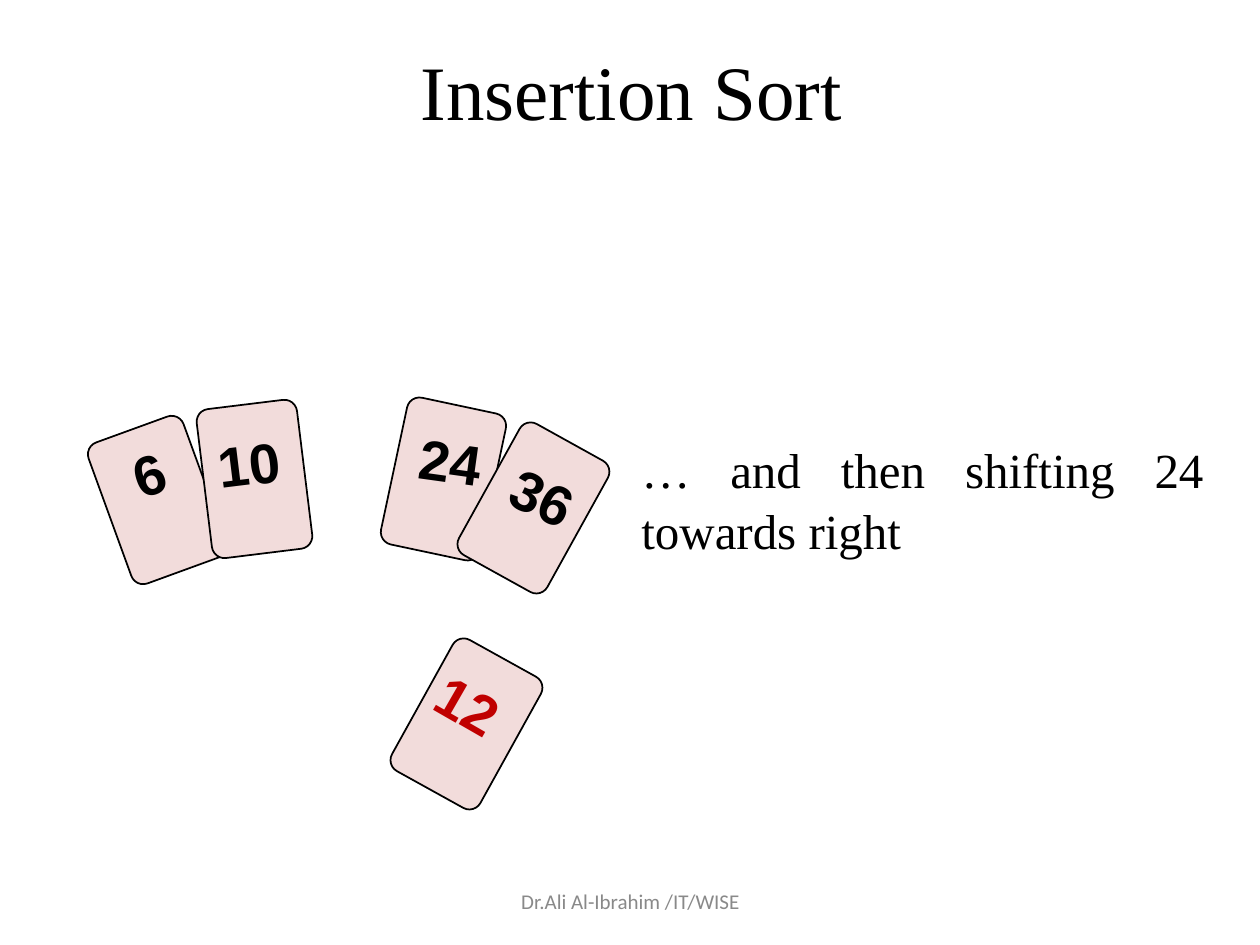
from dataclasses import dataclass

from pptx import Presentation
from pptx.dml.color import RGBColor
from pptx.enum import shapes, text
from pptx.util import Emu, Pt

EMU_PER_PX = 914400 / 126


@dataclass(frozen=True)
class Theme:
    ink: str = "000000"
    card_fill: str = "F2DCDB"
    picked: str = "C00000"
    muted: str = "898989"
    serif: str = "Times New Roman"
    sans: str = "Arial"
    footer_font: str = "Calibri"
    title_size: int = 44
    body_size: int = 28
    card_size: int = 32
    footer_size: int = 12
    outline: int = 1


THEME = Theme()
CARD_W, CARD_H = 101, 150
CORNER = 0.125
LABEL_H = 79

# Each hand: value, card (left, top, turn), label (left, top, width, turn), colour
HANDS = [
    [("6", (107, 425, 340), (121, 433, 57, 341), THEME.ink),
     ("10", (204, 404, 353), (205, 423, 88, 353), THEME.ink)],
    [("24", (393, 404, 12), (407, 421, 88, 8), THEME.ink),
     ("36", (483, 433, 29), (500, 457, 88, 25), THEME.ink)],
    [("12", (416, 649, 29), (425, 665, 88, 30), THEME.picked)],
]


def px(*lengths):
    return [Emu(round(length * EMU_PER_PX)) for length in lengths]


def set_all(target, values):
    for name, value in values.items():
        setattr(target, name, value)


def write(frame, words, font, size, color, bold=False,
          frame_format=None, paragraph_format=None):
    """Fill a text frame with one formatted paragraph."""
    set_all(frame, frame_format or {})
    paragraph = frame.paragraphs[0]
    set_all(paragraph, paragraph_format or {})
    run = paragraph.add_run()
    run.text = words
    set_all(run.font, {"name": font, "size": Pt(size), "bold": bold})
    run.font.color.rgb = RGBColor.from_string(color)


def add_title(slide, words, box):
    title = slide.shapes.title
    set_all(title, dict(zip(("left", "top", "width", "height"), px(*box))))
    write(title.text_frame, words, THEME.serif, THEME.title_size, THEME.ink,
          frame_format={"vertical_anchor": text.MSO_ANCHOR.BOTTOM},
          paragraph_format={"alignment": text.PP_ALIGN.CENTER})


def add_note(slide, words, box, font, size, color, anchor, paragraph_format):
    note = slide.shapes.add_textbox(*px(*box))
    write(note.text_frame, words, font, size, color,
          frame_format={"word_wrap": True, "vertical_anchor": anchor},
          paragraph_format=paragraph_format)


def add_card(slide, left, top, turn):
    card = slide.shapes.add_shape(shapes.MSO_SHAPE.ROUNDED_RECTANGLE,
                                  *px(left, top, CARD_W, CARD_H))
    card.adjustments[0] = CORNER
    card.rotation = turn
    card.shadow.inherit = False
    card.fill.solid()
    card.fill.fore_color.rgb = RGBColor.from_string(THEME.card_fill)
    card.line.color.rgb = RGBColor.from_string(THEME.ink)
    card.line.width = Pt(THEME.outline)


def add_label(slide, value, left, top, width, turn, color):
    label = slide.shapes.add_textbox(*px(left, top, width, LABEL_H))
    label.rotation = turn
    write(label.text_frame, value, THEME.sans, THEME.card_size, color, bold=True,
          frame_format={"word_wrap": False,
                        "auto_size": text.MSO_AUTO_SIZE.SHAPE_TO_FIT_TEXT})


def add_hand(slide, hand):
    """Lay the cards down first so that no card hides a number."""
    for _, place, _, _ in hand:
        add_card(slide, *place)
    for value, _, place, color in hand:
        add_label(slide, value, *place, color)


def main():
    deck = Presentation()
    deck.slide_width, deck.slide_height = px(1260, 945)
    slide = deck.slides.add_slide(deck.slide_layouts[5])

    # Heading and explanation
    add_title(slide, "Insertion Sort", (226, 26, 811, 116))
    add_note(slide, "… and then shifting 24 towards right", (629, 430, 587, 131),
             THEME.serif, THEME.body_size, THEME.ink, text.MSO_ANCHOR.TOP,
             {"alignment": text.PP_ALIGN.JUSTIFY, "line_spacing": 1.05})

    # Sorted cards on the left, shifted cards, and the card to insert
    for hand in HANDS:
        add_hand(slide, hand)

    # Footer
    add_note(slide, "Dr.Ali Al-Ibrahim /IT/WISE", (431, 876, 399, 50),
             THEME.footer_font, THEME.footer_size, THEME.muted,
             text.MSO_ANCHOR.MIDDLE, {"alignment": text.PP_ALIGN.CENTER})

    deck.save("out.pptx")


if __name__ == "__main__":
    main()
